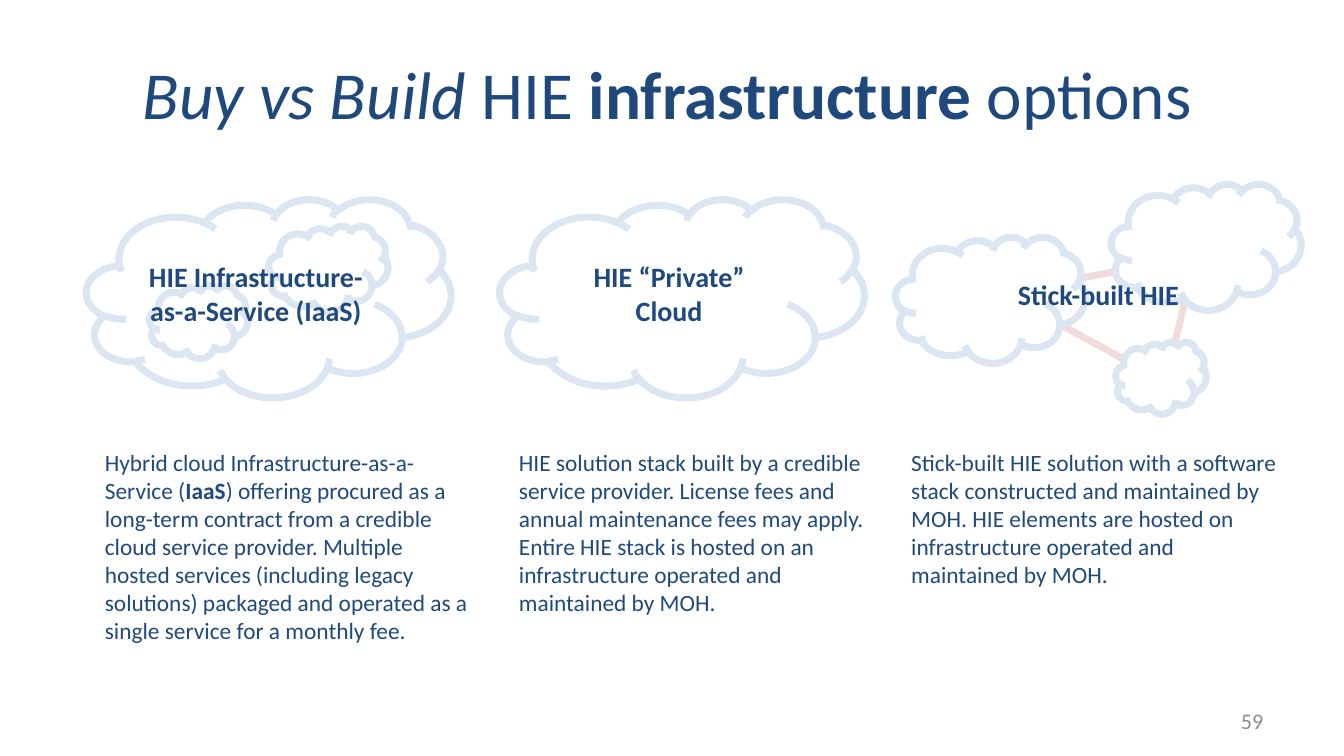
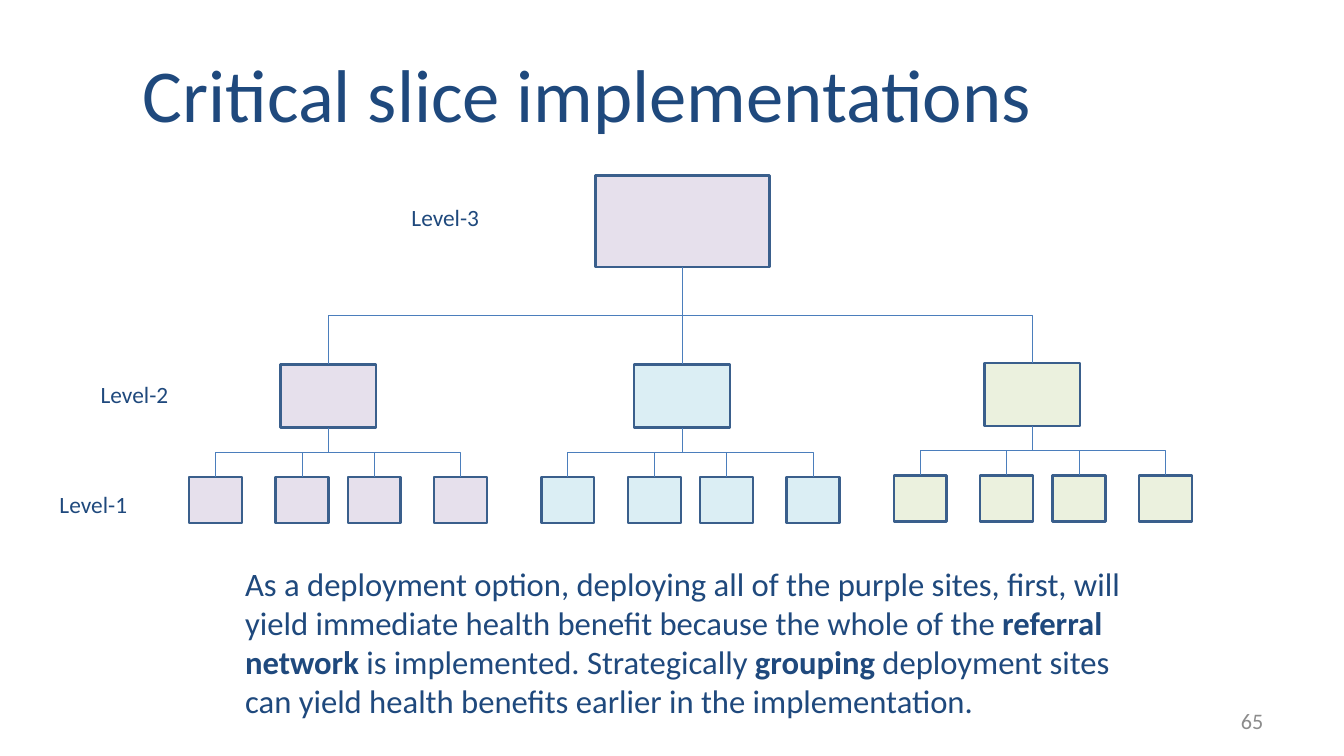
from dataclasses import dataclass

from lxml.etree import SubElement
from pptx import Presentation
from pptx.dml.color import RGBColor
from pptx.enum.shapes import MSO_CONNECTOR, MSO_SHAPE
from pptx.enum.text import MSO_ANCHOR, MSO_AUTO_SIZE, PP_ALIGN
from pptx.oxml.ns import qn
from pptx.util import Inches, Pt


@dataclass(frozen=True)
class Theme:
    font: str = "Calibri"
    text: RGBColor = RGBColor.from_string("1F497D")
    muted: RGBColor = RGBColor.from_string("8C8C8C")
    white: RGBColor = RGBColor.from_string("FFFFFF")
    cloud_line: RGBColor = RGBColor.from_string("DCE6F2")
    cloud_link: RGBColor = RGBColor.from_string("F2DCDB")
    box_line: RGBColor = RGBColor.from_string("3A5F8C")
    branch: RGBColor = RGBColor.from_string("4B7EBC")
    purple: RGBColor = RGBColor.from_string("E6E0EC")
    blue: RGBColor = RGBColor.from_string("DBEEF4")
    green: RGBColor = RGBColor.from_string("EBF1DE")
    title_size: float = 64
    long_title_size: float = 57.6
    lead_size: float = 28
    heading_size: float = 24
    body_size: float = 20
    number_size: float = 19


theme = Theme()
deck = Presentation()
deck.slide_width, deck.slide_height = Inches(16), Inches(9)
column, row = deck.slide_width / 16, deck.slide_height / 9


def grid(left, top, right, bottom):
    """Turn column and row counts into slide lengths."""
    return [round(left * column), round(top * row), round(right * column), round(bottom * row)]


def write(box, runs, size, color=theme.text, align=PP_ALIGN.LEFT, wrap=True, fit=True):
    """Fill a box with (text, style) runs; style holds b for bold, i for italic."""
    frame = box.text_frame
    frame.word_wrap = wrap
    if fit:
        frame.auto_size = MSO_AUTO_SIZE.SHAPE_TO_FIT_TEXT
    else:
        frame.vertical_anchor = MSO_ANCHOR.MIDDLE
    para = frame.paragraphs[0]
    para.alignment = align
    for text, style in runs:
        span = para.add_run()
        span.text = text
        span.font.name = theme.font
        span.font.size = Pt(size)
        span.font.color.rgb = color
        span.font.bold = "b" in style
        span.font.italic = "i" in style


# Shared frame: title and page number
headers = [
    ([("Buy vs Build", "i"), (" HIE ", ""), ("infrastructure", "b"), (" options", "")],
     theme.long_title_size, "59"),
    ([("Critical slice implementations", "")], theme.title_size, "65"),
]
pages = []
for title_runs, title_size, number in headers:
    page = deck.slides.add_slide(deck.slide_layouts[6])
    pages.append(page)
    title = page.shapes.add_textbox(*grid(1.54, 0.35, 13.66, 1.5))
    write(title, title_runs, title_size, fit=False)
    footer = page.shapes.add_textbox(*grid(11.47, 8.34, 3.73, 0.48))
    write(footer, [(number, "")], theme.number_size, theme.muted, PP_ALIGN.RIGHT, fit=False)
    for box in (title, footer):
        frame = box.text_frame
        frame.margin_left = frame.margin_right = Inches(0.16)
        frame.margin_top = frame.margin_bottom = Inches(0.08)
options_page, slice_page = pages

# Infrastructure options: links lie under the clouds
for ends in [(12.09, 3.45, 13.91, 3.12), (12.09, 3.57, 13.82, 4.52), (13.88, 4.52, 14.22, 3.12)]:
    link = options_page.shapes.add_connector(MSO_CONNECTOR.STRAIGHT, *grid(*ends))
    link.line.color.rgb = theme.cloud_link
    link.line.width = Pt(6)
    SubElement(link._element.spPr, qn("a:effectLst"))

clouds = [
    ((3.2, 2.69, 1.42, 1.02), None),
    ((1.78, 3.4, 1.17, 0.87), None),
    ((1.03, 2.37, 4.34, 2.36), "HIE Infrastructure-as-a-Service (IaaS)"),
    ((5.95, 2.37, 4.34, 2.36), "HIE “Private” Cloud"),
    ((10.66, 2.82, 2.26, 1.5), None),
    ((13.23, 2.19, 2.26, 1.5), None),
    ((13.28, 4.07, 1.08, 0.86), None),
]
for area, heading in clouds:
    cloud = options_page.shapes.add_shape(MSO_SHAPE.CLOUD, *grid(*area))
    cloud.shadow.inherit = False
    cloud.line.color.rgb = theme.cloud_line
    cloud.line.width = Pt(6)
    if heading:
        cloud.fill.background()
        write(cloud, [(heading, "b")], theme.heading_size, align=PP_ALIGN.CENTER, fit=False)
    else:
        cloud.fill.solid()
        cloud.fill.fore_color.rgb = theme.white

stick_label = options_page.shapes.add_textbox(*grid(12.02, 3.26, 2.15, 0.5))
write(stick_label, [("Stick-built HIE", "b")], theme.heading_size, wrap=False)

descriptions = [
    (1.15, 2.46, [
        ("Hybrid cloud Infrastructure-as-a-Service (", ""), ("IaaS", "b"),
        (") offering procured as a long-term contract from a credible cloud service provider. "
         "Multiple hosted services (including legacy solutions) packaged and operated as a "
         "single service for a monthly fee.", "")]),
    (6.08, 2.12, [
        ("HIE solution stack built by a credible service provider. License fees and annual "
         "maintenance fees may apply. Entire HIE stack is hosted on an infrastructure operated "
         "and maintained by MOH.", "")]),
    (10.75, 1.78, [
        ("Stick-built HIE solution with a software stack constructed and maintained by MOH. "
         "HIE elements are hosted on infrastructure operated and maintained by MOH.", "")]),
]
for left, height, runs in descriptions:
    description = options_page.shapes.add_textbox(*grid(left, 5.29, 4.57, height))
    write(description, runs, theme.body_size)

# Critical slice: each site is (name, parent, area, fill), parents first
sites = [("root", None, (7.09, 2.09, 2.07, 1.09), theme.purple)]
districts = [
    ("purple", 3.34, 4.34, theme.purple),
    ("blue", 7.55, 4.34, theme.blue),
    ("green", 11.72, 4.32, theme.green),
]
for index, (name, left, top, fill) in enumerate(districts):
    sites.append((name, "root", (left, top, 1.14, 0.75), fill))
    first_left = 2.25 + 4.195 * index
    for offset in (0, 1.03, 1.89, 2.92):
        sites.append((None, name, (first_left + offset, top + 1.34, 0.63, 0.55), fill))

boxes = {}
for name, parent, area, fill in sites:
    box = slice_page.shapes.add_shape(MSO_SHAPE.RECTANGLE, *grid(*area))
    box.shadow.inherit = False
    box.fill.solid()
    box.fill.fore_color.rgb = fill
    box.line.color.rgb = theme.box_line
    box.line.width = Pt(2)
    if name:
        boxes[name] = box
    if not parent:
        continue
    branch = slice_page.shapes.add_connector(MSO_CONNECTOR.ELBOW, 0, 0, 0, 0)
    branch.begin_connect(box, 0)
    branch.end_connect(boxes[parent], 2)
    branch.line.color.rgb = theme.branch
    branch.line.width = Pt(0.75)
    SubElement(branch._element.spPr, qn("a:effectLst"))
    # A quarter turn about the centre makes the elbow leave and arrive vertically
    run, rise = branch.end_x - branch.begin_x, branch.begin_y - branch.end_y
    center_x = (branch.begin_x + branch.end_x) // 2
    center_y = (branch.begin_y + branch.end_y) // 2
    branch.width, branch.height = rise, abs(run)
    branch.left, branch.top = center_x - rise // 2, center_y - abs(run) // 2
    turn = branch._element.spPr.find(qn("a:xfrm"))
    turn.set("rot", "5400000" if run >= 0 else "16200000")
    turn.set("flipH", "1" if run >= 0 else "0")
    turn.set("flipV", "1")

for label, left, top in [("Level-1", 0.61, 5.79), ("Level-2", 1.1, 4.48), ("Level-3", 4.8, 2.37)]:
    level = slice_page.shapes.add_textbox(*grid(left, top, 1.01, 0.44))
    write(level, [(label, "")], theme.body_size, wrap=False)

summary = slice_page.shapes.add_textbox(*grid(2.82, 6.66, 11.1, 1.99))
write(summary, [
    ("As a deployment option, deploying all of the purple sites, first, will yield immediate "
     "health benefit because the whole of the ", ""),
    ("referral network ", "b"),
    ("is implemented. Strategically ", ""),
    ("grouping ", "b"),
    ("deployment sites can yield health benefits earlier in the implementation.", ""),
], theme.lead_size)

deck.save("out.pptx")
